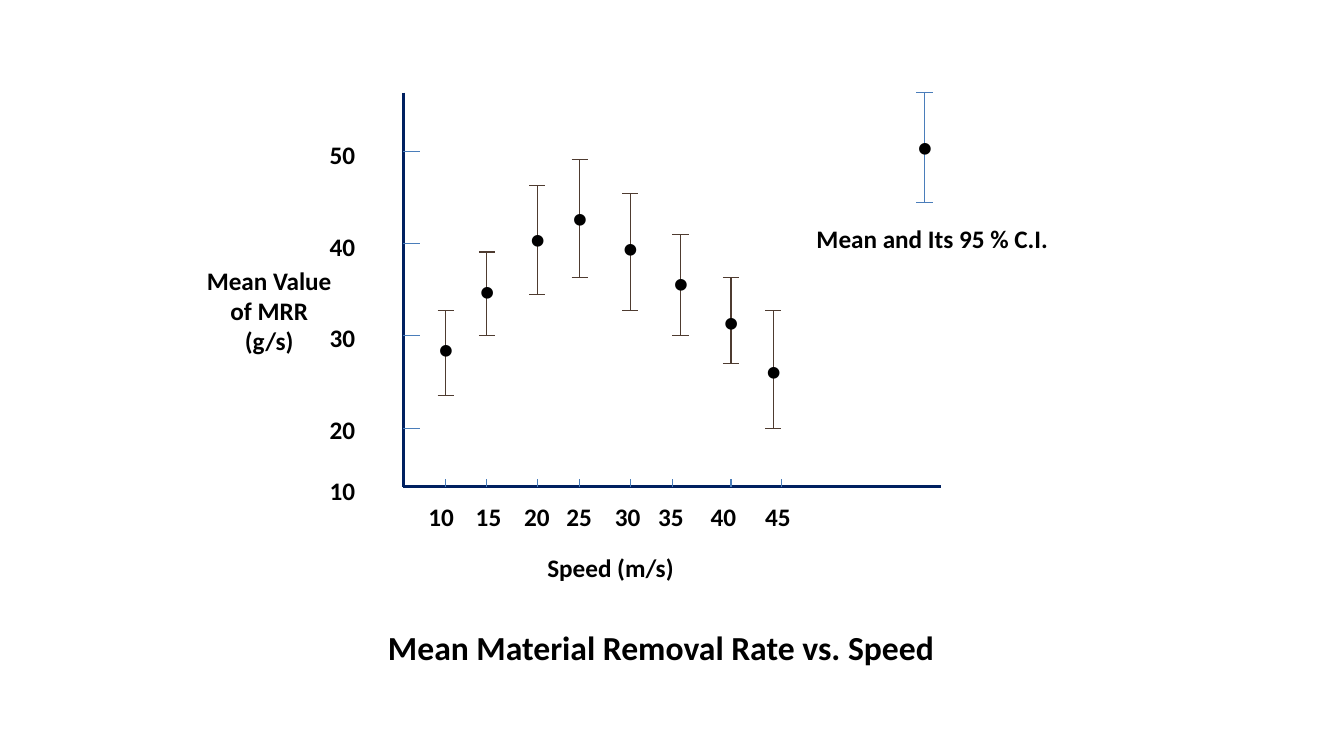
from lxml import etree
from pptx import Presentation
from pptx.dml.color import RGBColor
from pptx.enum.shapes import MSO_CONNECTOR
from pptx.enum.text import MSO_AUTO_SIZE, PP_ALIGN
from pptx.oxml.ns import qn
from pptx.util import Emu, Pt

STRAIGHT = MSO_CONNECTOR.STRAIGHT
GROW = MSO_AUTO_SIZE.SHAPE_TO_FIT_TEXT
LEFT = PP_ALIGN.LEFT
CENTER = PP_ALIGN.CENTER

EMU_PER_PX = 9144
FONT = "Calibri"
BLACK = "000000"
NAVY = "002060"
BROWN = "4E3B30"
BLUE = "4A7DBA"

AXIS_X = 400
AXIS_Y = 483
AXIS_TOP = 92
CAP_HALF = 8
DOT_HALF = 17

INTERVALS = [
    (442, 308, 392, 326),
    (483, 250, 333, 268),
    (533, 184, 292, 217),
    (575, 158, 275, 196),
    (625, 192, 308, 226),
    (675, 233, 333, 260),
    (725, 275, 361, 299),
    (767, 308, 425, 348),
]
LEGEND_INTERVAL = (917, 92, 201, 125)
SPEED_TICKS = [442, 483, 533, 575, 625, 667, 725, 775]
RATE_TICKS = [150, 242, 333, 425]
SPEEDS = ["10", "15", "20", "25", "30", "35", "40", "45"]
SPEED_TABS = [7, 54, 102, 144, 192, 235, 287, 341]
RATES = ["50", "40", "30", "20", "10"]
RATE_GAPS = [0, 44, 44, 44, 22]


def px(length):
    return Emu(length * EMU_PER_PX)


def color(value):
    return RGBColor.from_string(value)


def add_line(page, x1, y1, x2, y2, stroke, weight=0.75):
    line = page.shapes.add_connector(STRAIGHT, px(x1), px(y1), px(x2), px(y2))
    line.line.color.rgb = color(stroke)
    line.line.width = Pt(weight)
    etree.SubElement(line._element.spPr, qn("a:effectLst"))


def add_tabs(para, stops):
    tab_list = etree.SubElement(para._p.get_or_add_pPr(), qn("a:tabLst"))
    for stop in stops:
        etree.SubElement(tab_list, qn("a:tab"), pos=str(px(stop)), algn="l")


def add_text(page, text, left, top, width, height,
             size=18, bold=True, align=LEFT, tabs=(), gaps=(0,)):
    box = page.shapes.add_textbox(px(left), px(top), px(width), px(height))
    frame = box.text_frame
    frame.word_wrap = True
    frame.auto_size = GROW
    frame.text = text
    for para, gap in zip(frame.paragraphs, gaps):
        para.alignment = align
        if gap:
            para.space_before = Pt(gap)
        if tabs:
            add_tabs(para, tabs)
        for span in para.runs:
            span.font.name = FONT
            span.font.size = Pt(size)
            span.font.bold = bold
            span.font.color.rgb = color(BLACK)


def add_interval(page, x, upper, lower, dot_top, stroke):
    add_line(page, x, upper, x, lower, stroke)
    for y in (upper, lower):
        add_line(page, x - CAP_HALF, y, x + CAP_HALF, y, stroke)
    add_text(page, "●", x - DOT_HALF, dot_top, 2 * DOT_HALF, 40, bold=False)


def add_axes(page):
    add_line(page, AXIS_X, AXIS_Y, 933, AXIS_Y, NAVY, 2.25)
    add_line(page, AXIS_X, AXIS_TOP, AXIS_X, AXIS_Y, NAVY, 2.25)
    for y in RATE_TICKS:
        add_line(page, AXIS_X, y, AXIS_X + 17, y, BLUE)
    for x in SPEED_TICKS:
        add_line(page, x, AXIS_Y, x, AXIS_Y - 8, BLUE)


def add_labels(page):
    add_text(page, "\t" + "\t".join(SPEEDS), 408, 492, 408, 42, tabs=SPEED_TABS)
    add_text(page, "\n".join(RATES), 317, 133, 67, 374, gaps=RATE_GAPS)
    add_text(page, "Speed (m/s)", 533, 543, 158, 40)
    add_text(page, "Mean Value of MRR (g/s)", 192, 258, 150, 101, align=CENTER)
    add_text(page, "Mean and Its 95 % C.I.", 800, 217, 350, 40)
    add_text(page, "Mean Material Removal Rate vs. Speed", 375, 617, 583, 50, size=24)


def main():
    deck = Presentation()
    deck.slide_width = px(1333)
    deck.slide_height = px(750)
    page = deck.slides.add_slide(deck.slide_layouts[6])
    add_axes(page)
    for interval in INTERVALS:
        add_interval(page, *interval, BROWN)
    add_interval(page, *LEGEND_INTERVAL, BLUE)
    add_labels(page)
    deck.save("out.pptx")


if __name__ == "__main__":
    main()
